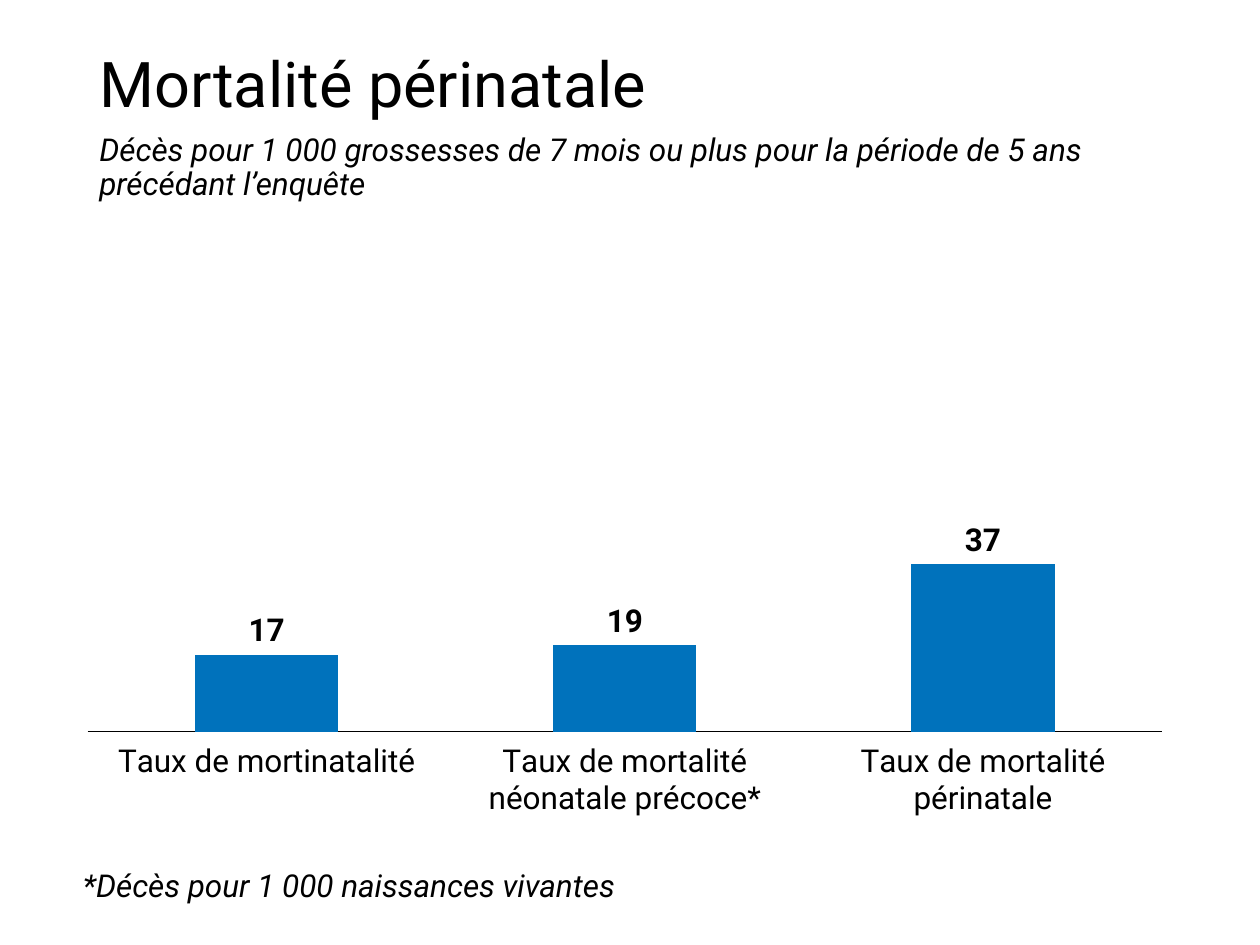
from dataclasses import dataclass

from lxml import etree
from pptx import Presentation
from pptx.chart.data import CategoryChartData
from pptx.dml.color import RGBColor
from pptx.enum.chart import XL_CHART_TYPE, XL_LABEL_POSITION, XL_TICK_LABEL_POSITION, XL_TICK_MARK
from pptx.enum.text import MSO_ANCHOR, MSO_AUTO_SIZE, PP_ALIGN
from pptx.oxml.ns import qn
from pptx.util import Inches, Pt

COLUMN_CHART = XL_CHART_TYPE.COLUMN_CLUSTERED
OUTSIDE_END = XL_LABEL_POSITION.OUTSIDE_END
LABELS_LOW = XL_TICK_LABEL_POSITION.LOW
NO_TICK = XL_TICK_MARK.NONE
TOP, MIDDLE = MSO_ANCHOR.TOP, MSO_ANCHOR.MIDDLE
NO_AUTOFIT = MSO_AUTO_SIZE.NONE
LEFT = PP_ALIGN.LEFT

FONT = "Roboto"
BLACK, BLUE = "000000", "0072BC"
TEXT_SIZE = 18
MARGIN = 0.69
CONTENT_WIDTH = 10 - 2 * MARGIN


@dataclass
class Area:
    left: float
    top: float
    width: float
    height: float

    def lengths(self) -> tuple:
        return tuple(Inches(v) for v in (self.left, self.top, self.width, self.height))


@dataclass
class Caption:
    text: str
    area: Area
    size: float = TEXT_SIZE
    italic: bool = True
    anchor: MSO_ANCHOR = TOP


TITLE = Caption("Mortalité périnatale", Area(MARGIN, 0.37, CONTENT_WIDTH, 0.65), 36, False, MIDDLE)
NOTES = [
    Caption("Décès pour 1 000 grossesses de 7 mois ou plus pour la période de 5 ans "
            "précédant l’enquête", Area(MARGIN, 1.02, 8.87, 0.79)),
    Caption("*Décès pour 1 000 naissances vivantes", Area(0.56, 6.86, 8.87, 0.38)),
]
CHART_AREA = Area(MARGIN, 1.6, CONTENT_WIDTH, 5.07)
PLOT_SHARES = {"x": 0, "y": 0.12, "w": 0.99, "h": 0.71}
RATES = {
    "Taux de mortinatalité": 17,
    "Taux de mortalité néonatale précoce*": 19,
    "Taux de mortalité périnatale": 37,
}


def color(value: str) -> RGBColor:
    return RGBColor.from_string(value)


def style_font(font, size: float, bold: bool = False, italic: bool = False) -> None:
    font.name, font.size = FONT, Pt(size)
    font.bold, font.italic = bold, italic
    font.color.rgb = color(BLACK)


def write_caption(shape, caption: Caption) -> None:
    shape.left, shape.top, shape.width, shape.height = caption.area.lengths()
    frame = shape.text_frame
    frame.word_wrap, frame.auto_size = True, NO_AUTOFIT
    frame.vertical_anchor = caption.anchor
    paragraph = frame.paragraphs[0]
    paragraph.alignment = LEFT
    paragraph.line_spacing = 0.9
    paragraph.space_before = Pt(0)
    run = paragraph.add_run()
    run.text = caption.text
    style_font(run.font, caption.size, italic=caption.italic)


def place_plot(chart, shares: dict) -> None:
    plot_area = chart._chartSpace.chart.plotArea
    for old_layout in plot_area.findall(qn("c:layout")):
        plot_area.remove(old_layout)
    layout = etree.Element(qn("c:layout"))
    manual = etree.SubElement(layout, qn("c:manualLayout"))
    settings = {"layoutTarget": "inner", "xMode": "edge", "yMode": "edge", **shares}
    for name, value in settings.items():
        etree.SubElement(manual, qn(f"c:{name}")).set("val", str(value))
    plot_area.insert(0, layout)


def add_rate_chart(slide, area: Area, rates: dict) -> None:
    data = CategoryChartData()
    data.categories = list(rates)
    data.add_series("Series 1", list(rates.values()))
    chart = slide.shapes.add_chart(COLUMN_CHART, *area.lengths(), data).chart
    chart.has_legend = chart.has_title = False
    style_font(chart.font, TEXT_SIZE)
    place_plot(chart, PLOT_SHARES)

    # Axes
    values = chart.value_axis
    values.minimum_scale, values.maximum_scale = 0, 100
    values.has_major_gridlines = values.visible = False
    categories = chart.category_axis
    categories.major_tick_mark = categories.minor_tick_mark = NO_TICK
    categories.tick_label_position = LABELS_LOW
    style_font(categories.tick_labels.font, TEXT_SIZE)
    categories.format.line.color.rgb = color(BLACK)
    categories.format.line.width = Pt(0.75)

    # Columns and their labels
    plot = chart.plots[0]
    plot.gap_width, plot.vary_by_categories = 150, False
    series = plot.series[0]
    series.format.fill.solid()
    series.format.fill.fore_color.rgb = color(BLUE)
    labels = series.data_labels
    labels.show_value, labels.position = True, OUTSIDE_END
    style_font(labels.font, TEXT_SIZE, bold=True)


def main() -> None:
    presentation = Presentation()
    presentation.slide_width, presentation.slide_height = Inches(10), Inches(7.5)
    slide = presentation.slides.add_slide(presentation.slide_layouts[5])

    # Title, chart, then the two notes
    write_caption(slide.shapes.title, TITLE)
    add_rate_chart(slide, CHART_AREA, RATES)
    for note in NOTES:
        write_caption(slide.shapes.add_textbox(*note.area.lengths()), note)

    presentation.save("out.pptx")


if __name__ == "__main__":
    main()
